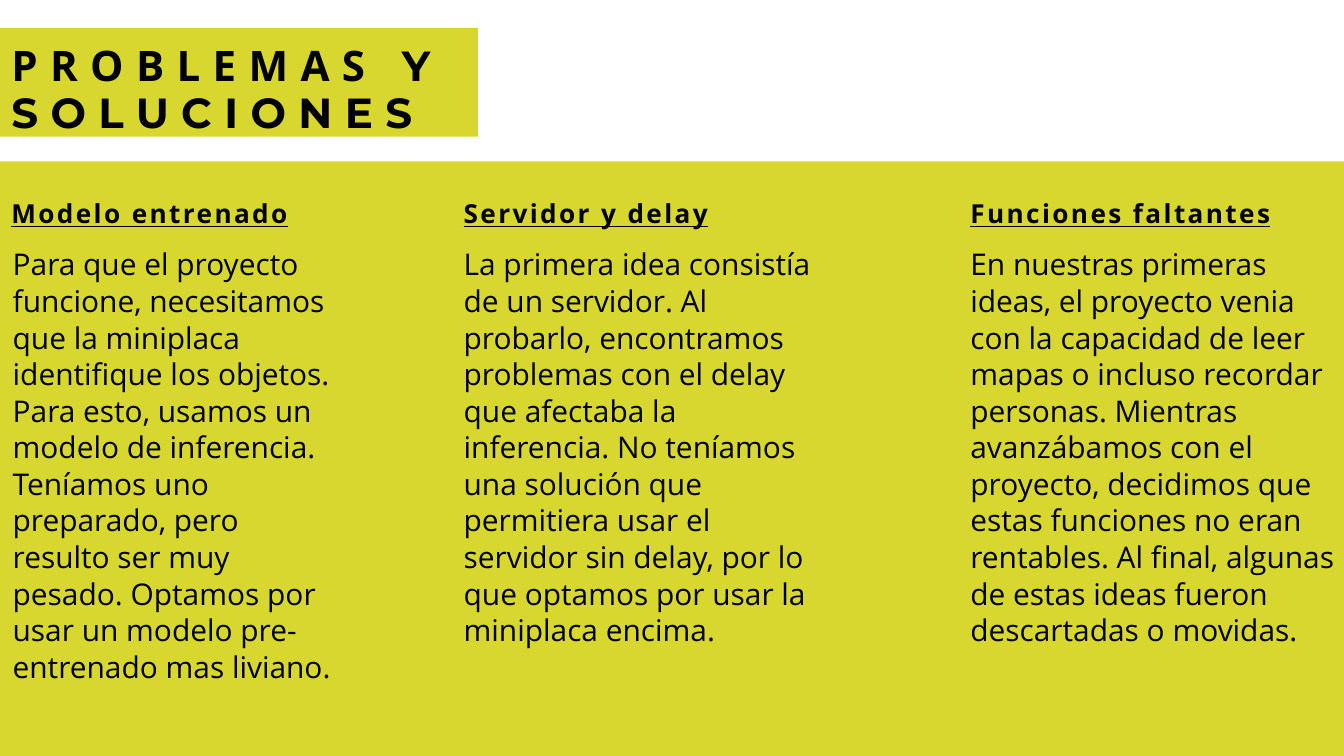
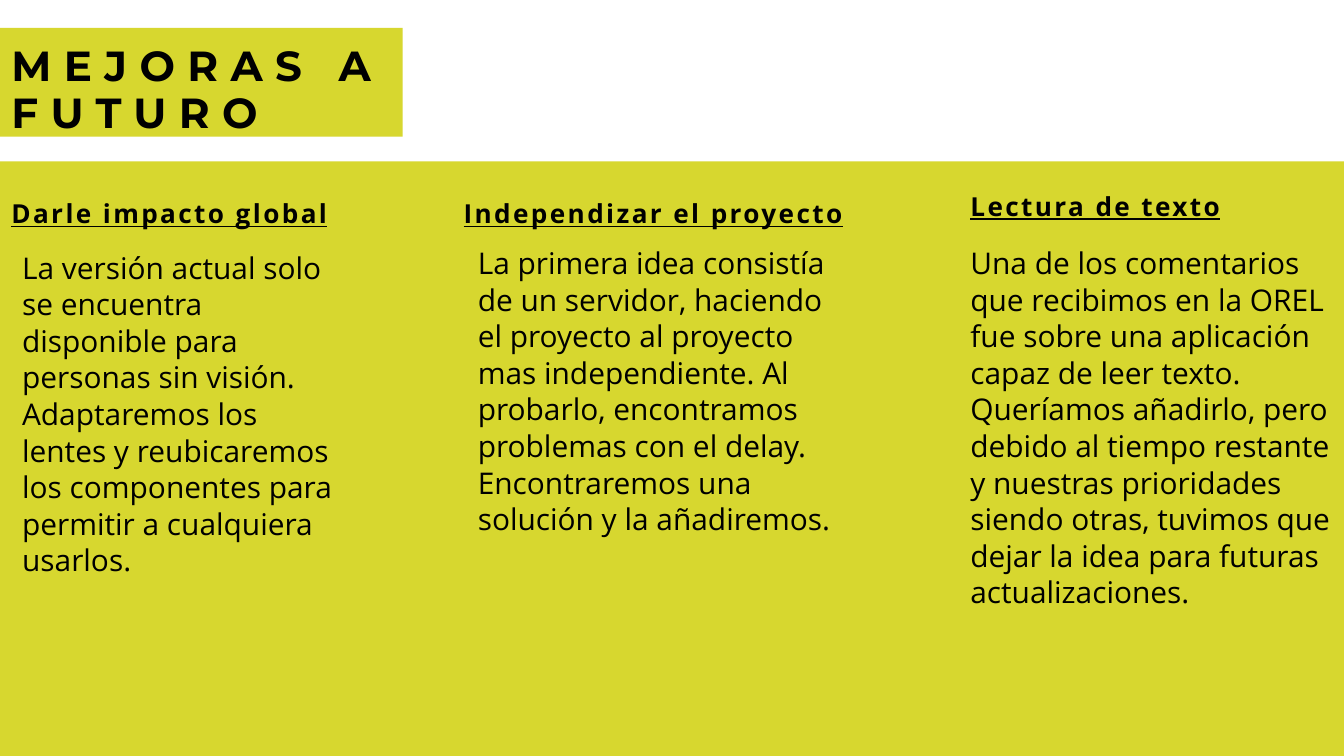
from dataclasses import dataclass

import pptx
import pptx.dml.color
import pptx.enum.shapes
import pptx.enum.text
import pptx.util

Pt = pptx.util.Pt
LIME = pptx.dml.color.RGBColor(0xD7, 0xD7, 0x2F)
BLACK = pptx.dml.color.RGBColor(0, 0, 0)

# Shared geometry, in points
PAGE_WIDTH, PAGE_HEIGHT = 1440, 810
TITLE_BAND_TOP, TITLE_BAND_HEIGHT = 30, 116.5
PANEL_TOP = 172.8
MARGIN = 12.2
TITLE_TOP, TITLE_HEIGHT = 45.4, 100.8
HEADING_HEIGHT = 46
COLUMN_LEFTS = (MARGIN, 496.8, 1039.7)
BODY_WIDTHS = (345.6, 384.5, 394.6)
TITLE_ONLY_LAYOUT = 5


@dataclass(frozen=True)
class TextStyle:
    size: float
    line_spacing: float
    bold: bool = False
    underline: bool = False
    tracking: float = 0


TITLE = TextStyle(45, 50.4, bold=True, tracking=13.3)
HEADING = TextStyle(28, 51, bold=True, underline=True, tracking=2.6)
BODY = TextStyle(32, 39.2)


@dataclass(frozen=True)
class Span:
    text: str
    font: str = "Open Sans"


@dataclass(frozen=True)
class Column:
    heading: str
    body: str
    heading_width: float
    body_height: float
    heading_top: float = 194.4
    body_top: float = 262.8
    body_indent: float = 0


@dataclass(frozen=True)
class Topic:
    title: tuple[Span, ...]
    band_width: float
    title_width: float
    columns: tuple[Column, ...]


TOPICS = (
    Topic(
        (Span("PROBLEMAS"), Span(" Y SOLUCIONES", "Montserrat")), 512, 499.7,
        (
            Column(
                "Modelo entrenado",
                "Para que el proyecto funcione, necesitamos que la miniplaca "
                "identifique los objetos. Para esto, usamos un modelo de inferencia. "
                "Teníamos uno preparado, pero resulto ser muy pesado. Optamos por "
                "usar un modelo pre-entrenado mas liviano.",
                348.5, 470.9, body_indent=1.4),
            Column(
                "Servidor y delay",
                "La primera idea consistía de un servidor. Al probarlo, encontramos "
                "problemas con el delay que afectaba la inferencia. No teníamos una "
                "solución que permitiera usar el servidor sin delay, por lo que "
                "optamos por usar la miniplaca encima.",
                415.4, 432),
            Column(
                "Funciones faltantes",
                "En nuestras primeras ideas, el proyecto venia con la capacidad de "
                "leer mapas o incluso recordar personas. Mientras avanzábamos con el "
                "proyecto, decidimos que estas funciones no eran rentables. Al final, "
                "algunas de estas ideas fueron descartadas o movidas.",
                348.5, 432),
        )),
    Topic(
        (Span("MEJORAS A FUTURO", "Montserrat"),), 431.3, 431.3,
        (
            Column(
                "Darle impacto global",
                "La versión actual solo se encuentra disponible para personas sin "
                "visión. Adaptaremos los lentes y reubicaremos los componentes para "
                "permitir a cualquiera usarlos.",
                348.5, 352.8, body_top=266.4, body_indent=11.5),
            Column(
                "Independizar el proyecto",
                "La primera idea consistía de un servidor, haciendo el proyecto al "
                "proyecto mas independiente. Al probarlo, encontramos problemas con "
                "el delay. Encontraremos una solución y la añadiremos.",
                415.4, 313.2, body_top=261.4, body_indent=15.1),
            Column(
                "Lectura de texto",
                "Una de los comentarios que recibimos en la OREL fue sobre una "
                "aplicación capaz de leer texto. Queríamos añadirlo, pero debido al "
                "tiempo restante y nuestras prioridades siendo otras, tuvimos que "
                "dejar la idea para futuras actualizaciones.",
                303.8, 392.4, heading_top=186.5, body_top=261.4),
        )),
)


def add_band(page: pptx.slide.Slide, top: float, width: float, height: float) -> None:
    band = page.shapes.add_shape(
        pptx.enum.shapes.MSO_SHAPE.RECTANGLE, 0, Pt(top), Pt(width), Pt(height))
    band.shadow.inherit = False
    band.fill.solid()
    band.fill.fore_color.rgb = LIME
    band.line.fill.background()


def write_text(frame: pptx.text.text.TextFrame, spans: tuple[Span, ...],
               style: TextStyle) -> None:
    frame.word_wrap = True
    frame.auto_size = pptx.enum.text.MSO_AUTO_SIZE.NONE
    frame.vertical_anchor = pptx.enum.text.MSO_ANCHOR.TOP
    frame.margin_left = frame.margin_top = frame.margin_right = frame.margin_bottom = 0
    para = frame.paragraphs[0]
    para.alignment = pptx.enum.text.PP_ALIGN.LEFT
    para.line_spacing = Pt(style.line_spacing)
    for span in spans:
        run = para.add_run()
        run.text = span.text
        run.font.name = span.font
        run.font.size = Pt(style.size)
        run.font.bold = style.bold
        run.font.underline = style.underline
        run.font.color.rgb = BLACK
        if style.tracking:
            run._r.get_or_add_rPr().set("spc", str(round(style.tracking * 100)))


def add_text(page: pptx.slide.Slide, left: float, top: float, width: float,
             height: float, text: str, style: TextStyle) -> None:
    box = page.shapes.add_textbox(Pt(left), Pt(top), Pt(width), Pt(height))
    write_text(box.text_frame, (Span(text),), style)


def place_title(page: pptx.slide.Slide, topic: Topic) -> None:
    title = page.shapes.title
    title.left, title.top = Pt(MARGIN), Pt(TITLE_TOP)
    title.width, title.height = Pt(topic.title_width), Pt(TITLE_HEIGHT)
    write_text(title.text_frame, topic.title, TITLE)
    # Bring the title in front of its band
    page.shapes._spTree.append(title._element)


def add_topic(deck: pptx.presentation.Presentation, topic: Topic) -> None:
    page = deck.slides.add_slide(deck.slide_layouts[TITLE_ONLY_LAYOUT])

    # Title band and lower panel
    add_band(page, TITLE_BAND_TOP, topic.band_width, TITLE_BAND_HEIGHT)
    place_title(page, topic)
    add_band(page, PANEL_TOP, PAGE_WIDTH, PAGE_HEIGHT - PANEL_TOP)

    # Three columns of heading and text
    for left, body_width, column in zip(COLUMN_LEFTS, BODY_WIDTHS, topic.columns):
        add_text(page, left, column.heading_top, column.heading_width,
                 HEADING_HEIGHT, column.heading, HEADING)
        add_text(page, left + column.body_indent, column.body_top, body_width,
                 column.body_height, column.body, BODY)


def main() -> None:
    deck = pptx.Presentation()
    deck.slide_width, deck.slide_height = Pt(PAGE_WIDTH), Pt(PAGE_HEIGHT)
    for topic in TOPICS:
        add_topic(deck, topic)
    deck.save("out.pptx")


if __name__ == "__main__":
    main()
